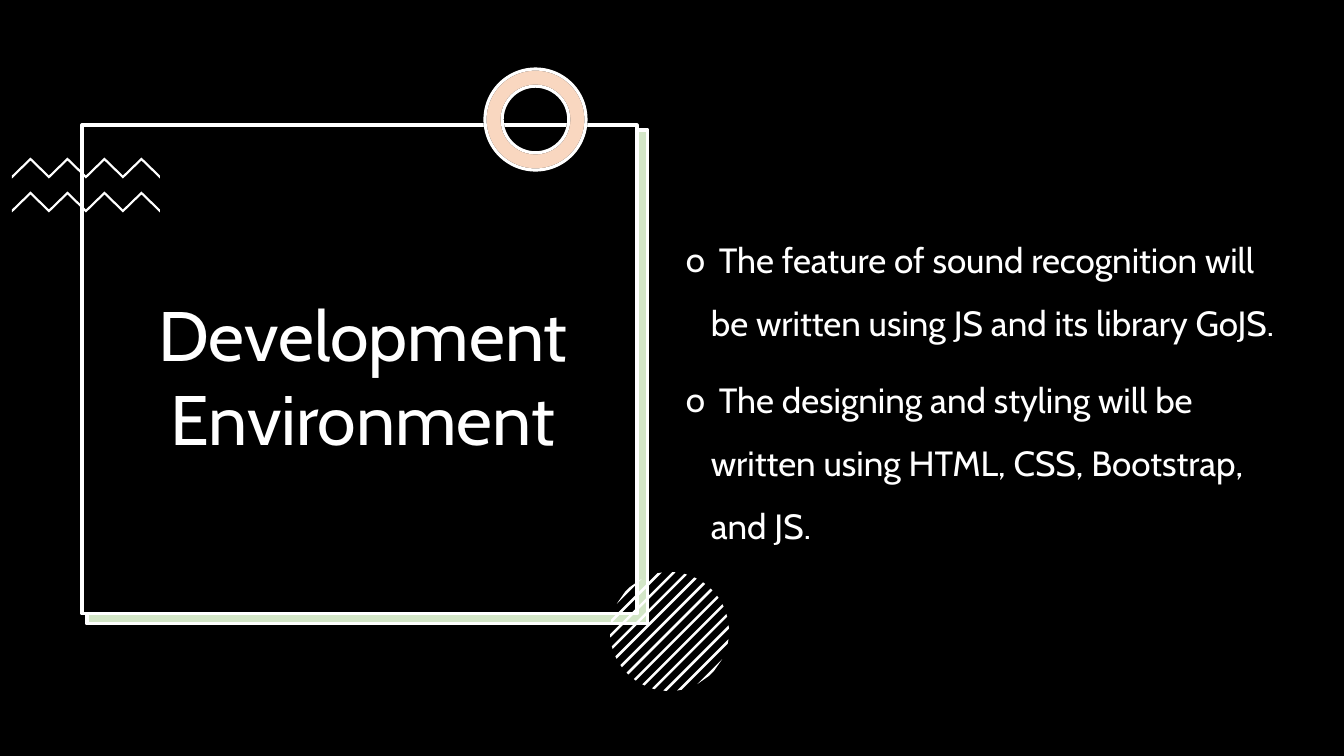
import math
from lxml import etree
from pptx import Presentation
from pptx.dml.color import RGBColor
from pptx.enum.shapes import MSO_SHAPE
from pptx.enum.text import MSO_ANCHOR, PP_ALIGN
from pptx.oxml.ns import qn
from pptx.util import Pt

RECTANGLE, DONUT = MSO_SHAPE.RECTANGLE, MSO_SHAPE.DONUT
MIDDLE, TOP = MSO_ANCHOR.MIDDLE, MSO_ANCHOR.TOP
CENTER, LEFT = PP_ALIGN.CENTER, PP_ALIGN.LEFT
EMU_PER_PIXEL = 914400 / 100.8
COLORS = {"black": "000000", "white": "FFFFFF", "green": "70AD47", "orange": "ED7D31"}
FONT = "Cabin"


def px(*lengths):
    return [round(length * EMU_PER_PIXEL) for length in lengths]


def paint(shape, fill, line=None, opacity=100):
    shape.shadow.inherit = False
    shape.fill.solid()
    shape.fill.fore_color.rgb = RGBColor.from_string(COLORS[fill])
    if opacity < 100:
        color = shape.fill._xPr.find(qn("a:solidFill"))[0]
        etree.SubElement(color, qn("a:alpha"), val=str(opacity * 1000))
    if line:
        shape.line.color.rgb = RGBColor.from_string(COLORS[line])
        shape.line.width = Pt(2.25)
    else:
        shape.line.fill.background()


presentation = Presentation()
presentation.slide_width, presentation.slide_height = px(1344, 756)
slide = presentation.slides.add_slide(presentation.slide_layouts[6])
shapes = slide.shapes

for box, fill, line, opacity in [
    ((0, 0, 1344, 756), "black", None, 100),
    ((86, 131, 561, 494), "white", None, 100),
    ((87, 130, 561, 494), "green", "white", 30),
    ((82, 125, 555, 489), "black", "white", 100),
]:
    paint(shapes.add_shape(RECTANGLE, *px(*box)), fill, line, opacity)

outlines = []
for zigzag_top in (159, 193):
    ridge = [(12 + 18.5 * i, zigzag_top + 18 * (i % 2 == 0)) for i in range(9)]
    upper = [(x, y - 1.5) for x, y in ridge]
    lower = [(x, y + 1.5) for x, y in reversed(ridge)]
    outlines.append(upper + lower)

center_x, center_y, radius = 669.5, 631.5, 59.5
for i in range(-6, 7):
    stripe = []
    for edge, direction in ((-1.8, -1), (-1.8, 1), (1.8, 1), (1.8, -1)):
        offset = 13.7 * i + edge
        half_chord = math.sqrt(max(0, radius**2 - offset**2 / 2))
        reach = direction * half_chord / math.sqrt(2)
        stripe.append((center_x + offset / 2 + reach, center_y + offset / 2 - reach))
    outlines.append(stripe)

for outline in outlines:
    points = [px(*point) for point in outline]
    builder = shapes.build_freeform(*points[0], scale=1.0)
    builder.add_line_segments(points[1:], close=True)
    paint(builder.convert_to_shape(), "white")

for fill, line, opacity in (("white", "black", 100), ("orange", "white", 30)):
    ring = shapes.add_shape(DONUT, *px(485, 69, 101, 101))
    ring.adjustments[0] = 0.17
    paint(ring, fill, line, opacity)

title = ["Development Environment"]
features = [
    " The feature of sound recognition will be written using JS and its library GoJS.",
    " The designing and styling will be written using HTML, CSS, Bootstrap, and JS.",
]
for box, lines, size, anchor, alignment in [
    ((93, 153, 540, 446), title, 50, MIDDLE, CENTER),
    ((676, 213, 632, 390), features, 25, TOP, LEFT),
]:
    text_frame = shapes.add_textbox(*px(*box)).text_frame
    text_frame.word_wrap = True
    text_frame.vertical_anchor = anchor
    text_frame.text = "\n".join(lines)
    for paragraph in text_frame.paragraphs:
        paragraph.alignment = alignment
        font = paragraph.runs[0].font
        font.name, font.size = FONT, Pt(size)
        font.color.rgb = RGBColor.from_string(COLORS["white"])
        if lines is features:
            paragraph.line_spacing = 1.5
            paragraph.space_before = Pt(10)
            properties = paragraph._p.get_or_add_pPr()
            indent = px(25)[0]
            properties.set("marL", str(indent))
            properties.set("indent", str(-indent))
            etree.SubElement(properties, qn("a:buFont"), typeface=FONT)
            etree.SubElement(properties, qn("a:buChar"), char="o")

presentation.save("out.pptx")
